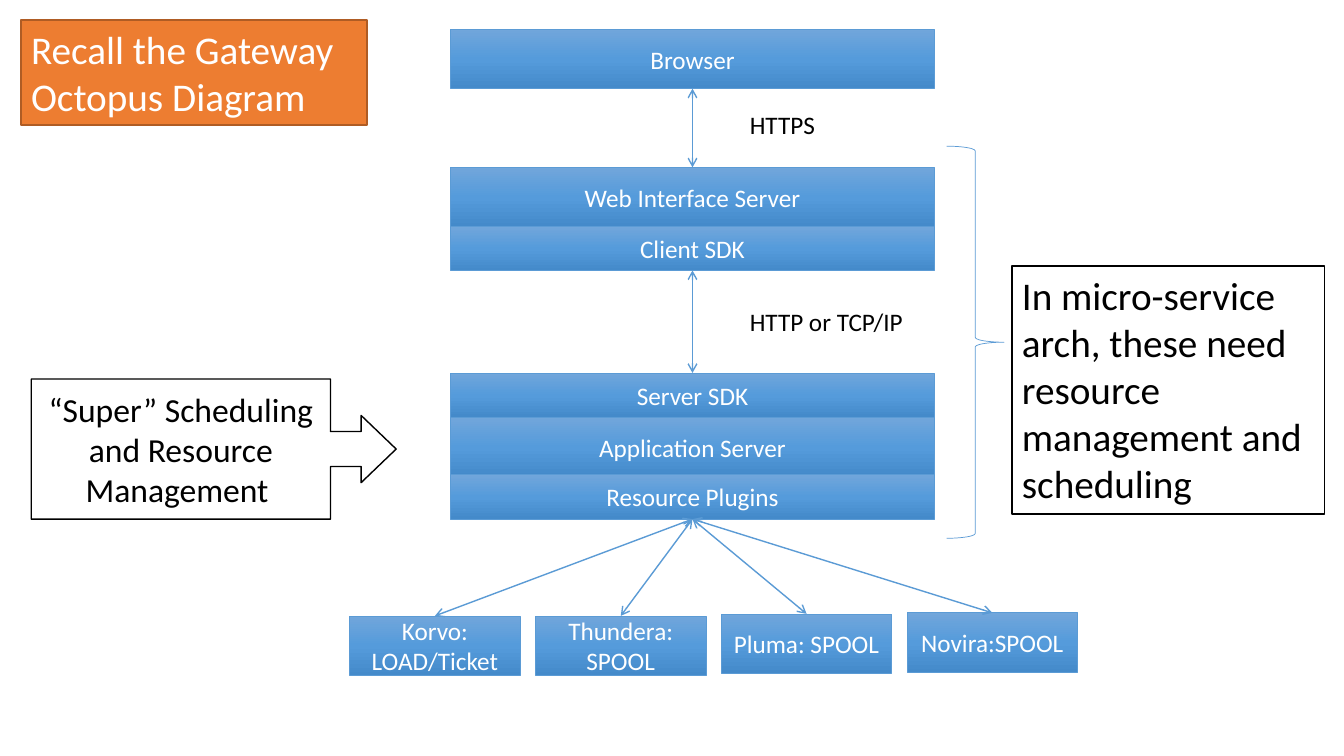
from copy import deepcopy
from dataclasses import dataclass

from pptx import Presentation
from pptx.dml.color import RGBColor
from pptx.enum.shapes import MSO_CONNECTOR, MSO_SHAPE
from pptx.enum.text import MSO_ANCHOR, MSO_AUTO_SIZE, PP_ALIGN
from pptx.oxml.ns import qn
from pptx.oxml.xmlchemy import OxmlElement
from pptx.util import Inches, Pt

COLUMNS, ROWS = 40, 22.5
TOP, BOTTOM = 0, 2


@dataclass(frozen=True)
class Theme:
    font: str = "Calibri"
    label_size: int = 18
    callout_size: int = 24
    note_size: int = 28
    white: str = "FFFFFF"
    black: str = "000000"
    blue: str = "5B9BD5"
    orange: str = "ED7D31"
    orange_edge: str = "AF5C24"
    layer_gradient: tuple = ((0, "71A6DB"), (0.5, "559BDB"), (1, "448ACA"))
    thin: float = 0.5
    regular: float = 1


class Diagram:
    """Draws on one slide; positions and sizes are grid columns and rows."""

    def __init__(self, deck, theme):
        self.theme = theme
        self.cell_width = deck.slide_width / COLUMNS
        self.cell_height = deck.slide_height / ROWS
        self.shapes = deck.slides.add_slide(deck.slide_layouts[6]).shapes

    def place(self, left, top, width, height):
        return (round(left * self.cell_width), round(top * self.cell_height),
                round(width * self.cell_width), round(height * self.cell_height))

    def set_text(self, owner, words, size, color, align=PP_ALIGN.LEFT,
                 anchor=MSO_ANCHOR.TOP, wrap=True):
        frame = owner.text_frame
        frame.word_wrap = wrap
        frame.vertical_anchor = anchor
        paragraph = frame.paragraphs[0]
        paragraph.text = words
        paragraph.alignment = align
        paragraph.font.name = self.theme.font
        paragraph.font.size = Pt(size)
        paragraph.font.color.rgb = RGBColor.from_string(color)
        return frame

    def outline(self, preset, box, edge, weight, fill=None):
        shape = self.shapes.add_shape(preset, *self.place(*box))
        shape.shadow.inherit = False
        shape.line.color.rgb = RGBColor.from_string(edge)
        shape.line.width = Pt(weight)
        if fill:
            shape.fill.solid()
            shape.fill.fore_color.rgb = RGBColor.from_string(fill)
        else:
            shape.fill.background()
        return shape

    def layer(self, words, *box):
        """Add a gradient block with a centred label."""
        theme = self.theme
        block = self.outline(MSO_SHAPE.RECTANGLE, box, theme.blue, theme.thin)
        block.fill.gradient()
        block.fill.gradient_angle = 270
        stop_list = block._element.spPr.find(qn("a:gradFill")).find(qn("a:gsLst"))
        stop_list.append(deepcopy(stop_list[0]))
        for stop, (position, color) in zip(block.fill.gradient_stops, theme.layer_gradient):
            stop.position = position
            stop.color.rgb = RGBColor.from_string(color)
        self.set_text(block, words, theme.label_size, theme.white,
                      PP_ALIGN.CENTER, MSO_ANCHOR.MIDDLE)
        return block

    def link(self, upper, lower):
        """Join two blocks with a two-headed arrow, bottom to top."""
        arrow = self.shapes.add_connector(MSO_CONNECTOR.STRAIGHT, 0, 0, 0, 0)
        arrow.begin_connect(upper, BOTTOM)
        arrow.end_connect(lower, TOP)
        arrow.line.color.rgb = RGBColor.from_string(self.theme.blue)
        arrow.line.width = Pt(self.theme.regular)
        properties = arrow._element.spPr
        for end in ("a:headEnd", "a:tailEnd"):
            tip = OxmlElement(end)
            tip.set("type", "arrow")
            properties.find(qn("a:ln")).append(tip)
        properties.append(OxmlElement("a:effectLst"))

    def protocol(self, words, *box):
        label = self.shapes.add_textbox(*self.place(*box))
        self.set_text(label, words, self.theme.label_size, self.theme.black, wrap=False)

    def note(self, words, box, fill, edge, color):
        panel = self.outline(MSO_SHAPE.RECTANGLE, box, edge, self.theme.regular, fill)
        frame = self.set_text(panel, words, self.theme.note_size, color)
        frame.auto_size = MSO_AUTO_SIZE.SHAPE_TO_FIT_TEXT

    def callout(self, words, box, adjustments):
        theme = self.theme
        pointer = self.outline(MSO_SHAPE.RIGHT_ARROW_CALLOUT, box, theme.black,
                               theme.regular, theme.white)
        for index, value in enumerate(adjustments):
            pointer.adjustments[index] = value
        self.set_text(pointer, words, theme.callout_size, theme.black,
                      PP_ALIGN.CENTER, MSO_ANCHOR.MIDDLE)

    def brace(self, *box):
        self.outline(MSO_SHAPE.RIGHT_BRACE, box, self.theme.blue, self.theme.thin)


def main():
    deck = Presentation()
    deck.slide_width, deck.slide_height = Inches(13.33), Inches(7.5)
    theme = Theme()
    diagram = Diagram(deck, theme)

    stack_left, stack_width = 13.41, 14.4
    stack = {
        words: diagram.layer(words, stack_left, top, stack_width, height)
        for words, top, height in (
            ("Browser", 0.87, 1.77),
            ("Web Interface Server", 4.98, 1.77),
            ("Client SDK", 6.75, 1.3),
            ("Application Server", 12.42, 1.77),
            ("Server SDK", 11.1, 1.32),
            ("Resource Plugins", 14.13, 1.32),
        )
    }

    site_left, site_step, site_width, site_height = 10.41, 5.53, 5.07, 1.77
    site_rows = (("Korvo: LOAD/Ticket", 18.33), ("Thundera: SPOOL", 18.33),
                 ("Pluma: SPOOL", 18.27), ("Novira:SPOOL", 18.24))
    sites = [
        diagram.layer(words, site_left + index * site_step, top, site_width, site_height)
        for index, (words, top) in enumerate(site_rows)
    ]

    diagram.link(stack["Browser"], stack["Web Interface Server"])
    diagram.link(stack["Client SDK"], stack["Server SDK"])
    for site in sites:
        diagram.link(stack["Resource Plugins"], site)

    diagram.protocol("HTTPS", 22.02, 3.12, 2.55, 1.2)
    diagram.protocol("HTTP or TCP/IP", 22.02, 8.97, 5.22, 1.2)

    diagram.note("Recall the Gateway Octopus Diagram", (0.63, 0.6, 10.29, 3.12),
                 theme.orange, theme.orange_edge, theme.white)
    diagram.callout("“Super” Scheduling and Resource Management ",
                    (0.93, 11.28, 10.86, 4.17), (0.25, 0.24, 0.25, 0.82))
    diagram.brace(28.17, 4.35, 1.71, 11.67)
    diagram.note("In micro-service arch, these need resource management and scheduling",
                 (30.12, 7.92, 9.3, 7.38), theme.white, theme.black, theme.black)

    deck.save("out.pptx")


if __name__ == "__main__":
    main()
